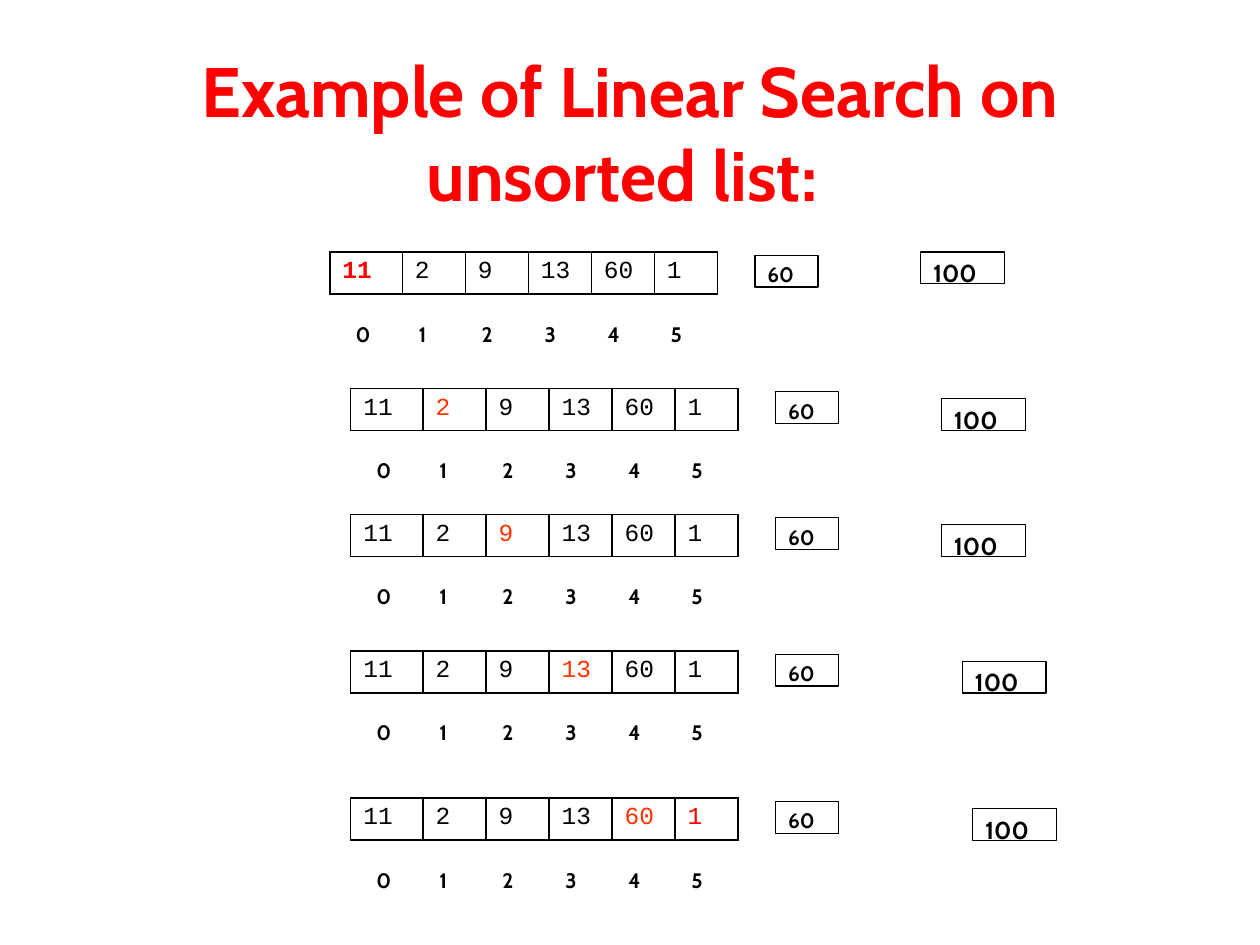
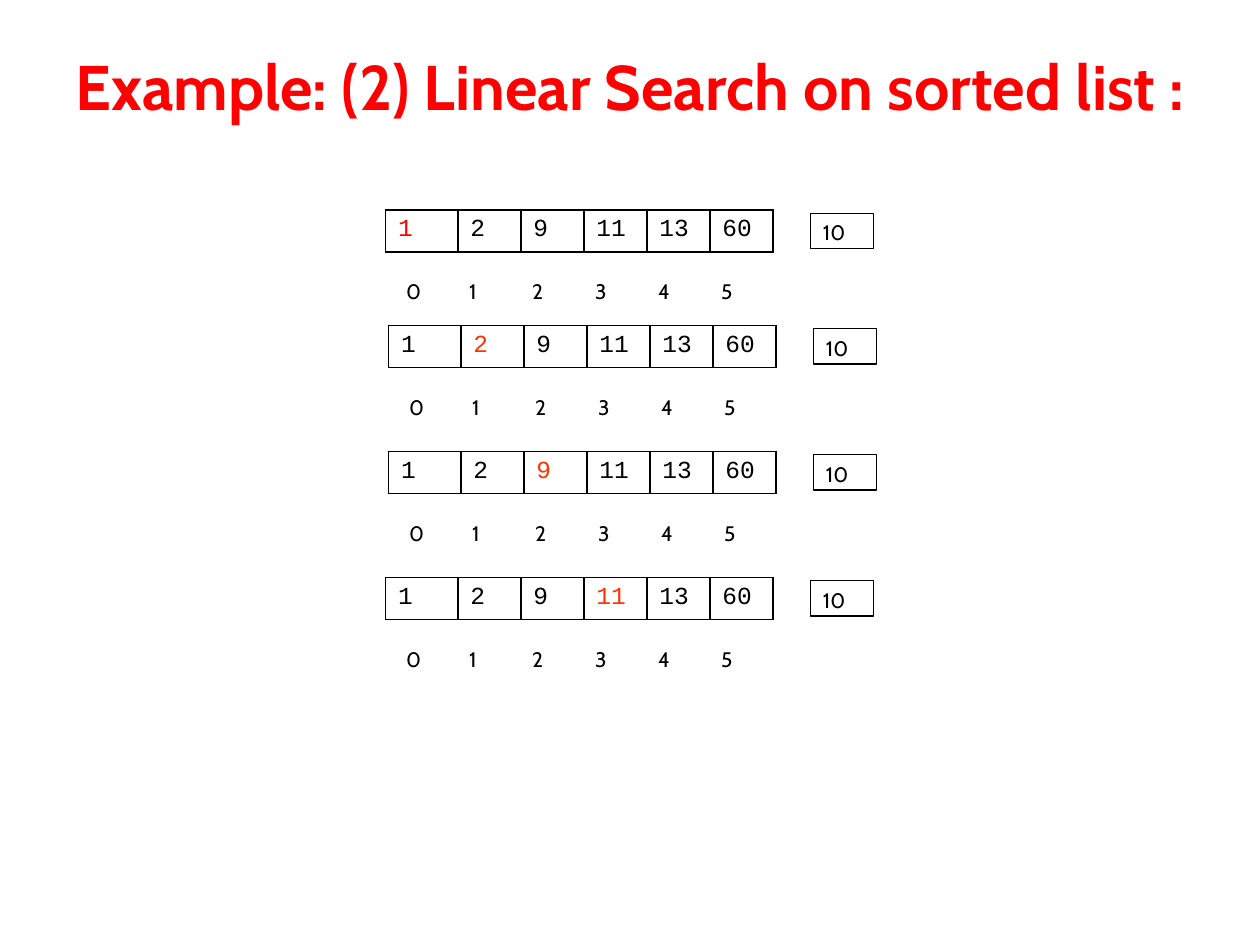
"""Build two slides that trace a linear search on an unsorted and a sorted list."""
from lxml import etree
from pptx import Presentation
from pptx.dml.color import RGBColor
from pptx.enum import shapes, text
from pptx.oxml import ns
from pptx.util import Cm, Pt

BLACK = RGBColor(0x00, 0x00, 0x00)
WHITE = RGBColor(0xFF, 0xFF, 0xFF)
RED = RGBColor(0xFF, 0x00, 0x00)
ORANGE = RGBColor(0xFF, 0x33, 0x00)
TEXT_FONT = "Cabin"
CELL_FONT = "Courier New"

CELL_WIDTH = 1.27
FIRST_CELL_WIDTH = 1.46
ROW_HEIGHT = 0.84
LABEL_HEIGHT = 0.64
LABEL_DROP = 1.27

SEARCHES = [
    {
        "title": "Example of Linear Search on unsorted list: ",
        "title_size": 40,
        "values": [11, 2, 9, 13, 60, 1],
        "key": 60,
        "key_height": 0.64,
        "label_offset": 0.27,
        "bold": True,
        "steps": [
            (6.65, 5.08, {0: RED}),
            (7.07, 7.83, {1: ORANGE}),
            (7.07, 10.37, {2: ORANGE}),
            (7.07, 13.12, {3: ORANGE}),
            (7.07, 16.09, {4: ORANGE, 5: RED}),
        ],
        "side_boxes": [(18.56, 5.08), (18.98, 8.04), (18.98, 10.58), (19.4, 13.33), (19.61, 16.3)],
    },
    {
        "title": "Example: (2) Linear Search on sorted list : ",
        "title_size": 36,
        "values": [1, 2, 9, 11, 13, 60],
        "key": 10,
        "key_height": 0.71,
        "label_offset": 0.17,
        "bold": False,
        "steps": [
            (7.77, 4.23, {0: RED}),
            (7.83, 6.56, {1: ORANGE}),
            (7.83, 9.1, {2: ORANGE}),
            (7.77, 11.64, {3: ORANGE}),
        ],
        "side_boxes": [],
    },
]


def write(text_frame, content, size, color=BLACK, bold=False, font=TEXT_FONT, align=text.PP_ALIGN.LEFT):
    text_frame.text = str(content)
    paragraph = text_frame.paragraphs[0]
    paragraph.alignment = align
    run = paragraph.runs[0]
    run.font.name = font
    run.font.size = Pt(size)
    run.font.bold = bold
    run.font.color.rgb = color


def add_box(slide, left, top, width, height, content, size, bold, outlined=True):
    shape = slide.shapes.add_shape(shapes.MSO_SHAPE.RECTANGLE, Cm(left), Cm(top), Cm(width), Cm(height))
    shape.shadow.inherit = False
    shape.fill.solid()
    shape.fill.fore_color.rgb = WHITE
    if outlined:
        shape.line.color.rgb = BLACK
        shape.line.width = Pt(0.75)
    else:
        shape.line.fill.background()
    shape.text_frame.vertical_anchor = text.MSO_ANCHOR.TOP
    write(shape.text_frame, content, size, bold=bold)


presentation = Presentation()
presentation.slide_width = Cm(25.4)
presentation.slide_height = Cm(19.05)

for search in SEARCHES:
    slide = presentation.slides.add_slide(presentation.slide_layouts[6])
    values = search["values"]
    bold = search["bold"]

    title = slide.shapes.add_textbox(Cm(1.27), Cm(0.76), Cm(22.86), Cm(3.18))
    title.text_frame.word_wrap = True
    title.text_frame.margin_top = Cm(0.2)
    write(title.text_frame, search["title"], search["title_size"], RED, True, align=text.PP_ALIGN.CENTER)

    for left, top, highlights in search["steps"]:
        add_box(slide, left + 8.57, top + 0.07, CELL_WIDTH, search["key_height"], search["key"], 12, bold)

        table_width = FIRST_CELL_WIDTH + CELL_WIDTH * (len(values) - 1)
        frame = slide.shapes.add_table(1, len(values), Cm(left), Cm(top), Cm(table_width), Cm(ROW_HEIGHT))
        table = frame.table
        table.first_row = False
        table.horz_banding = False
        table.rows[0].height = Cm(ROW_HEIGHT)
        for index, value in enumerate(values):
            table.columns[index].width = Cm(CELL_WIDTH if index else FIRST_CELL_WIDTH)
            cell = table.cell(0, index)
            color = highlights.get(index, BLACK)
            first_match = bold and index == 0 and index in highlights
            write(cell.text_frame, value, 14, color, first_match, CELL_FONT)
            properties = cell._tc.get_or_add_tcPr()
            for side in ("a:lnL", "a:lnR", "a:lnT", "a:lnB"):
                border = etree.SubElement(properties, ns.qn(side), w=str(Pt(1)))
                fill = etree.SubElement(border, ns.qn("a:solidFill"))
                etree.SubElement(fill, ns.qn("a:srgbClr"), val=str(BLACK))
            cell.fill.background()

        for index in range(len(values)):
            label_left = left + search["label_offset"] + index * CELL_WIDTH
            add_box(slide, label_left, top + LABEL_DROP, 0.95, LABEL_HEIGHT, index, 12, bold, outlined=False)

    for left, top in search["side_boxes"]:
        add_box(slide, left, top, 1.69, LABEL_HEIGHT, 100, 14, bold)

presentation.save("out.pptx")
